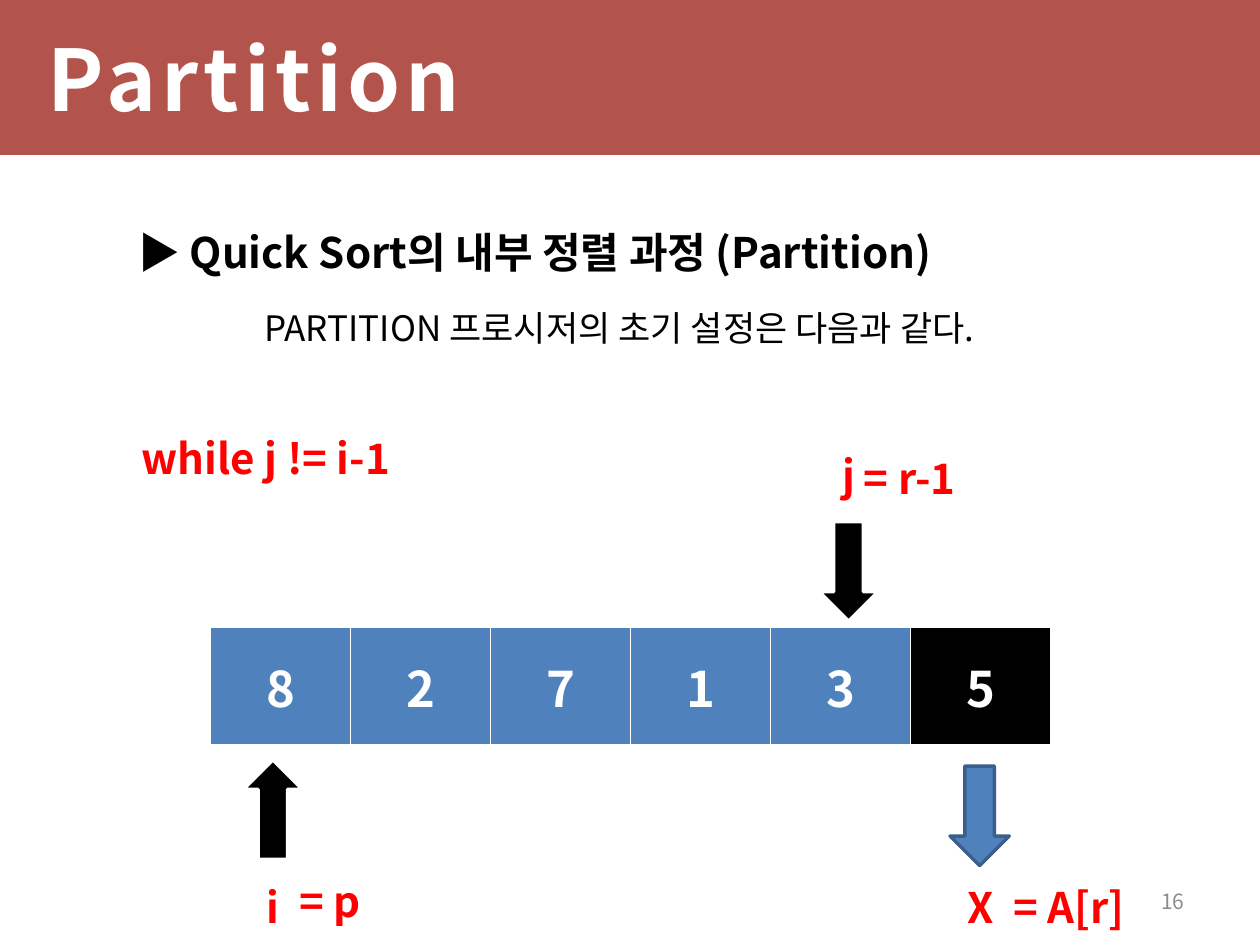
from lxml.etree import SubElement
from pptx import Presentation
from pptx.dml.color import RGBColor
from pptx.enum.shapes import MSO_SHAPE
from pptx.enum.text import MSO_ANCHOR, MSO_AUTO_SIZE, PP_ALIGN
from pptx.oxml.ns import qn
from pptx.util import Inches, Pt

FONT = "Noto Sans CJK KR"
BLACK, WHITE, RED, BLUE = "000000", "FFFFFF", "FF0000", "4F81BD"

TITLE = "Partition"
# text, size, bold, left indent, space before
BODY = [
    ("▶ Quick Sort의 내부 정렬 과정 (Partition)", 24, True, 0.5, 0),
    ("PARTITION 프로시저의 초기 설정은 다음과 같다.", 20, False, 1.5, 17),
]
VALUES = [8, 2, 7, 1, 3, 5]
# side, width in points
EDGES = [("lnL", 1), ("lnR", 1), ("lnT", 1), ("lnB", 3)]
# text, left, top, width
LABELS = [
    ("while j != i-1", 0.97, 3.38, 2.28),
    ("j", 6.59, 3.52, 0.3),
    ("= r-1", 6.62, 3.54, 1.2),
    ("i", 2.02, 6.95, 0.29),
    ("= p", 2.17, 6.9, 0.9),
    ("X", 7.57, 6.95, 0.42),
    ("= A[r]", 7.9, 6.95, 1.17),
]
# left, top, rotation, fill, line
ARROWS = [
    (7.54, 6.08, 0, BLUE, "3A5F8C"),
    (1.93, 6.03, 180, BLACK, WHITE),
    (6.5, 4.14, 0, BLACK, WHITE),
]


def rgb(code):
    return RGBColor.from_string(code)


def box(*sides):
    return [Inches(side) for side in sides]


def style(para, size, color, bold=False, align=PP_ALIGN.LEFT):
    para.alignment = align
    font = para.font
    font.name, font.size, font.bold = FONT, Pt(size), bold
    font.color.rgb = rgb(color)
    # East Asian letters take their own typeface entry
    SubElement(font._element, qn("a:ea"), typeface=FONT)


def add_text(slide, text, place, *look):
    frame = slide.shapes.add_textbox(*box(*place)).text_frame
    frame.vertical_anchor = MSO_ANCHOR.MIDDLE
    frame.text = text
    style(frame.paragraphs[0], *look)
    return frame


def add_shape(slide, kind, place, fill):
    shape = slide.shapes.add_shape(kind, *box(*place))
    shape.shadow.inherit = False
    shape.fill.solid()
    shape.fill.fore_color.rgb = rgb(fill)
    return shape


def add_head(slide):
    band = add_shape(slide, MSO_SHAPE.RECTANGLE, (0, 0, 10, 1.23), "9B1F13")
    band.line.fill.background()
    tint = band._element.spPr.find(qn("a:solidFill"))[0]
    SubElement(tint, qn("a:alpha"), val="76000")
    slide.shapes._spTree.insert(2, band._element)  # behind the title

    title = slide.shapes.title
    title.left, title.top, title.width, title.height = box(0.28, 0, 9.45, 1.23)
    title.text = TITLE
    title.text_frame.vertical_anchor = MSO_ANCHOR.MIDDLE
    para = title.text_frame.paragraphs[0]
    style(para, 48.5, WHITE, True)
    para.font._element.set("spc", "300")


def add_body(slide):
    frame = slide.shapes.add_textbox(*box(0.5, 1.75, 9, 4.95)).text_frame
    frame.word_wrap = True
    for num, (text, size, bold, left, gap) in enumerate(BODY):
        para = frame.add_paragraph() if num else frame.paragraphs[0]
        para.text = text
        style(para, size, BLACK, bold, PP_ALIGN.JUSTIFY)
        para.space_before = Pt(gap)
        para._p.get_or_add_pPr().set("marL", str(Inches(left)))


def add_edges(cell):
    """Draw the white cell borders; they must come before the cell's fill."""
    props = cell._tc.get_or_add_tcPr()
    for side, width in EDGES:
        edge = SubElement(props, qn(f"a:{side}"), w=str(Pt(width)))
        SubElement(SubElement(edge, qn("a:solidFill")), qn("a:srgbClr"),
                   val=WHITE)


def add_array(slide):
    count = len(VALUES)
    place = box(1.67, 4.98, 6.67, 0.94)
    table = slide.shapes.add_table(1, count, *place).table
    for num, value in enumerate(VALUES):
        cell = table.cell(0, num)
        cell.text = str(value)
        cell.vertical_anchor = MSO_ANCHOR.MIDDLE
        add_edges(cell)
        cell.fill.solid()
        cell.fill.fore_color.rgb = rgb(BLACK if num == count - 1 else BLUE)
        style(cell.text_frame.paragraphs[0], 28, WHITE, True, PP_ALIGN.CENTER)


def main():
    deck = Presentation()
    deck.slide_width, deck.slide_height = box(10, 7.5)
    slide = deck.slides.add_slide(deck.slide_layouts[5])
    add_head(slide)
    add_text(slide, "16", (7.17, 6.95, 2.33, 0.4), 12, "8C8C8C", False,
             PP_ALIGN.RIGHT)
    add_body(slide)
    add_array(slide)
    for text, left, top, width in LABELS:
        frame = add_text(slide, text, (left, top, width, 0.5), 24, RED, True,
                         PP_ALIGN.CENTER)
        frame.word_wrap = False
        frame.auto_size = MSO_AUTO_SIZE.SHAPE_TO_FIT_TEXT
    for left, top, turn, fill, line in ARROWS:
        arrow = add_shape(slide, MSO_SHAPE.DOWN_ARROW,
                          (left, top, 0.47, 0.79), fill)
        arrow.rotation = turn
        arrow.line.color.rgb = rgb(line)
        arrow.line.width = Pt(2)
    deck.save("out.pptx")


if __name__ == "__main__":
    main()
